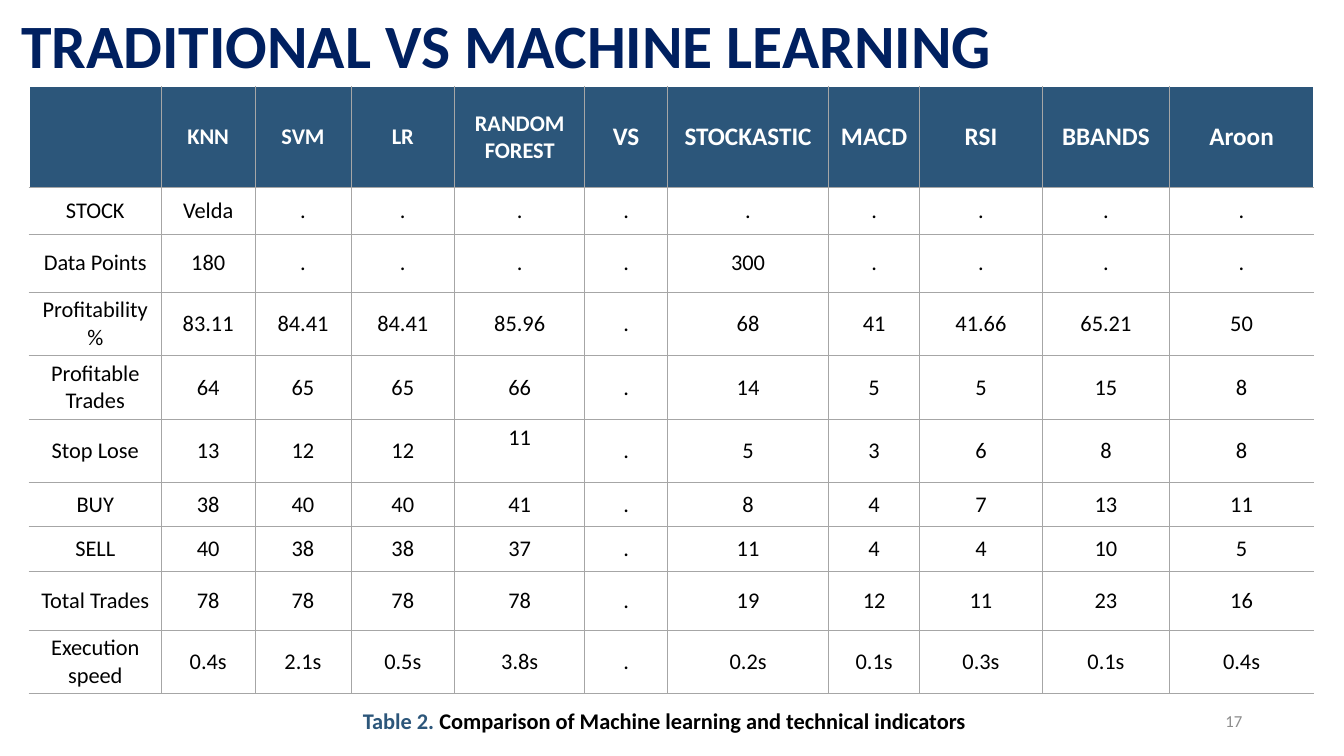
"""Build the slide that compares machine learning models with technical indicators."""
from lxml.etree import SubElement
from pptx import Presentation
from pptx.dml.color import RGBColor
from pptx.enum.text import MSO_ANCHOR, PP_ALIGN
from pptx.oxml.ns import qn
from pptx.util import Inches, Pt

NAVY, BLUE, GREY, WHITE, BLACK = "002060", "2C567A", "A6A6A6", "FFFFFF", "000000"
ROWS = [
    ["", "KNN", "SVM", "LR", "RANDOM FOREST", "VS", "STOCKASTIC", "MACD", "RSI", "BBANDS", "Aroon"],
    ["STOCK", "Velda"] + ["."] * 9,
    ["Data Points", "180", ".", ".", ".", ".", "300", ".", ".", ".", "."],
    ["Profitability %", "83.11", "84.41", "84.41", "85.96", ".", "68", "41", "41.66", "65.21", "50"],
    ["Profitable Trades", "64", "65", "65", "66", ".", "14", "5", "5", "15", "8"],
    ["Stop Lose", "13", "12", "12", "11", ".", "5", "3", "6", "8", "8"],
    ["BUY", "38", "40", "40", "41", ".", "8", "4", "7", "13", "11"],
    ["SELL", "40", "38", "38", "37", ".", "11", "4", "4", "10", "5"],
    ["Total Trades", "78", "78", "78", "78", ".", "19", "12", "11", "23", "16"],
    ["Execution speed", "0.4s", "2.1s", "0.5s", "3.8s", ".", "0.2s", "0.1s", "0.3s", "0.1s", "0.4s"],
]
COLUMN_WIDTHS = [1.31, 0.93, 0.95, 1.03, 1.29, 0.82, 1.6, 0.9, 1.22, 1.26, 1.43]
ROW_HEIGHTS = [1, 0.46, 0.58, 0.63, 0.63, 0.63, 0.43, 0.45, 0.58, 0.63]


def style(run, size, color, bold=False):
    run.font.name, run.font.size, run.font.bold = "Calibri", Pt(size), bold
    run.font.color.rgb = RGBColor.from_string(color)


def set_borders(cell, colors):
    properties = cell._tc.get_or_add_tcPr()
    for position, (side, color) in enumerate(zip("LRTB", colors)):
        width = Pt(1) if color == WHITE else Pt(0.5)
        line = SubElement(properties, qn(f"a:ln{side}"), w=str(width))
        SubElement(SubElement(line, qn("a:solidFill")), qn("a:srgbClr"), val=color)
        properties.insert(position, line)


deck = Presentation()
deck.slide_width, deck.slide_height = Inches(13.33), Inches(7.5)
slide = deck.slides.add_slide(deck.slide_layouts[5])

title = slide.shapes.title
title.left, title.top, title.width, title.height = map(Inches, (0.11, 0.1, 12.19, 0.68))
heading = title.text_frame
heading.text = "TRADITIONAL VS MACHINE LEARNING"
heading.vertical_anchor = MSO_ANCHOR.TOP
heading.paragraphs[0].alignment = PP_ALIGN.LEFT
heading.paragraphs[0].line_spacing = 0.9
style(heading.paragraphs[0].runs[0], 44, NAVY, True)

comparison = slide.shapes.add_table(
    len(ROWS), len(COLUMN_WIDTHS), Inches(0.29), Inches(0.86),
    Inches(sum(COLUMN_WIDTHS)), Inches(sum(ROW_HEIGHTS))).table
comparison.horz_banding = False
for column, width in zip(comparison.columns, COLUMN_WIDTHS):
    column.width = Inches(width)
for row, height in zip(comparison.rows, ROW_HEIGHTS):
    row.height = Inches(height)

last_column = len(COLUMN_WIDTHS) - 1
for r, values in enumerate(ROWS):
    for c, value in enumerate(values):
        cell = comparison.cell(r, c)
        header = r == 0
        cell.vertical_anchor = MSO_ANCHOR.MIDDLE
        cell.margin_top = cell.margin_bottom = Inches(0.04)
        if header:
            cell.fill.solid()
            cell.fill.fore_color.rgb = RGBColor.from_string(BLUE)
        else:
            cell.fill.background()
        set_borders(cell, [WHITE if c == 0 else GREY, WHITE if c == last_column else GREY,
                           WHITE if header else GREY, GREY])
        if value:
            paragraph = cell.text_frame.paragraphs[0]
            paragraph.text = value
            paragraph.alignment = PP_ALIGN.CENTER
            size = 18 if header and c >= 5 else 16
            style(paragraph.runs[0], size, WHITE if header else BLACK, header)
comparison.cell(5, 4).margin_bottom = Inches(0.31)

caption = slide.shapes.add_textbox(Inches(3.5), Inches(6.97), Inches(7.64), Inches(0.37)).text_frame
caption.word_wrap = True
for words, color in [("Table 2. ", BLUE),
                     ("Comparison of Machine learning and technical indicators", BLACK)]:
    run = caption.paragraphs[0].add_run()
    run.text = words
    style(run, 16, color, True)

page_number = slide.shapes.add_textbox(Inches(11.89), Inches(6.95), Inches(0.53), Inches(0.4)).text_frame
page_number.word_wrap = True
page_number.vertical_anchor = MSO_ANCHOR.MIDDLE
page_number.text = "17"
page_number.paragraphs[0].alignment = PP_ALIGN.RIGHT
style(page_number.paragraphs[0].runs[0], 12, "8C8C8C")

deck.save("out.pptx")
